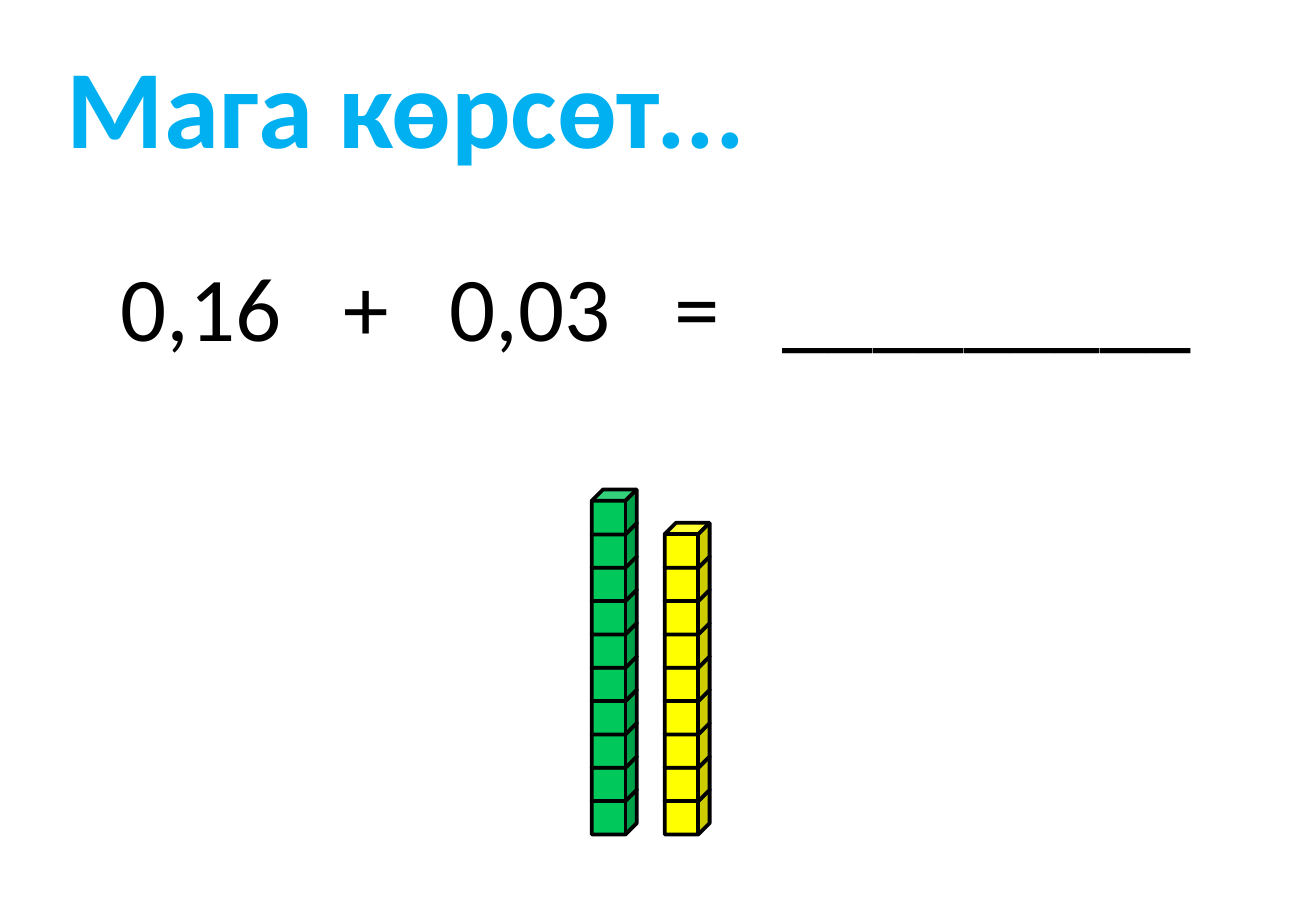
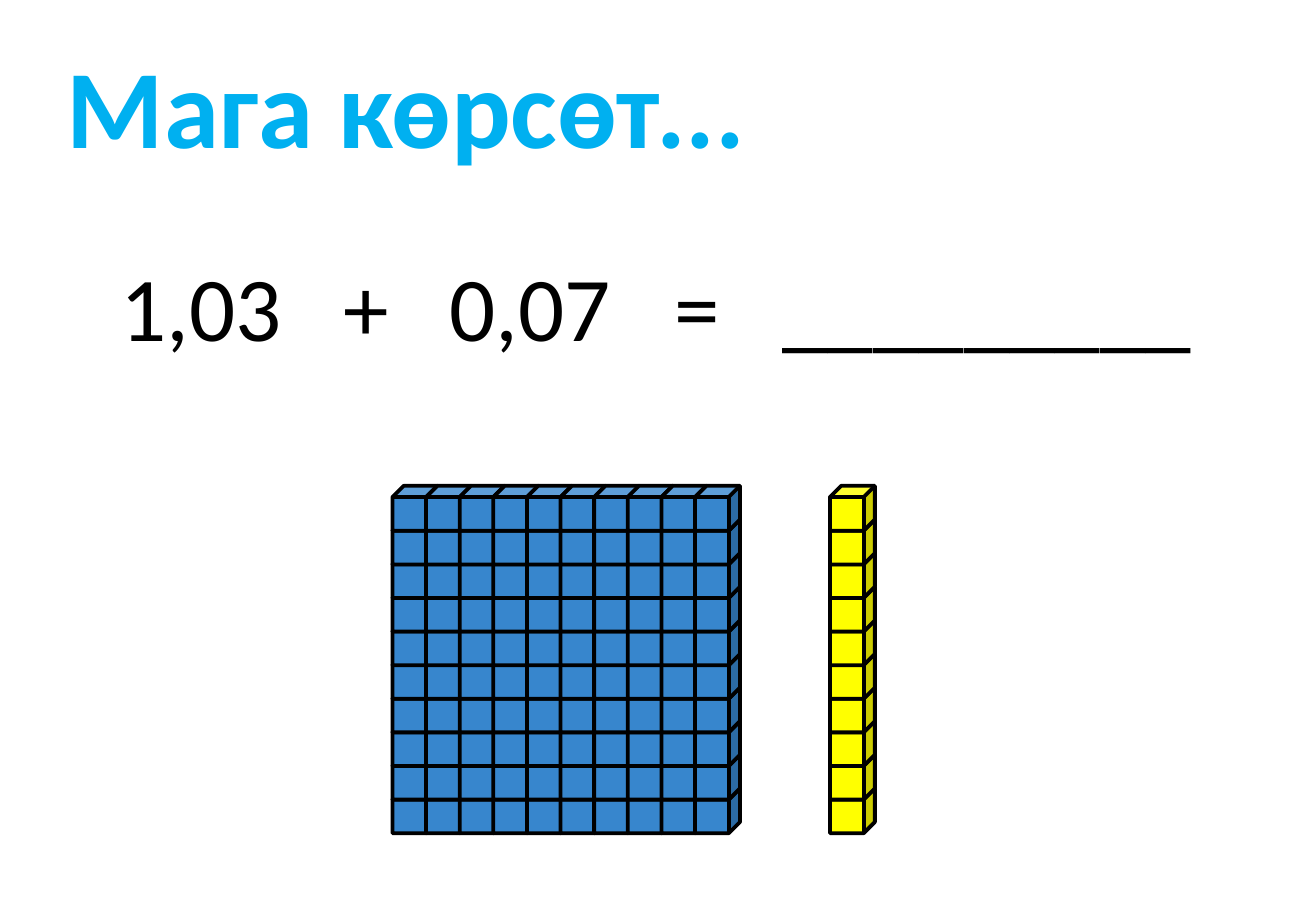
"""Build two slides that show decimal sums with stacked cubes."""
from lxml.etree import SubElement
from pptx import Presentation
from pptx.dml.color import RGBColor as RGB
from pptx.enum.shapes import MSO_SHAPE as Shape
from pptx.enum.text import MSO_ANCHOR as Anchor
from pptx.oxml.ns import qn
from pptx.util import Pt

PX = 9144
FONT = "Calibri"
SKY = RGB(0x00, 0xB0, 0xF0)
BLACK = RGB(0, 0, 0)
YELLOW = RGB(0xFF, 0xFF, 0x00)
GREEN = RGB(0x00, 0xC8, 0x5A)
BLUE = RGB(0x37, 0x86, 0xCD)

TITLE = "Мага көрсөт..."
BLANK = "_________"
TABS = (184, 271, 456, 545)
CUBE = 37
ROWS = 10

SLIDES = [
    {"sum": ("0,16", "+", "0,03", "=", BLANK), "base": 650, "span": 247,
     "blocks": [(547, 1, 9, YELLOW), (487, 1, ROWS, GREEN)]},
    {"sum": ("1,03", "+", "0,07", "=", BLANK), "base": 649, "span": 249,
     "blocks": [(683, 1, ROWS, YELLOW), (323, 10, ROWS, BLUE)]},
]


def px(*vals):
    """Turn px lengths into EMU."""
    return [round(val * PX) for val in vals]


def add_text(slide, box, inset, text, size, color, bold=False, tabs=()):
    """Add one line of text, with optional tab stops."""
    frame = slide.shapes.add_textbox(*px(*box)).text_frame
    frame.word_wrap = True
    frame.vertical_anchor = Anchor.TOP
    frame.margin_left = inset * PX
    para = frame.paragraphs[0]
    if tabs:
        stops = SubElement(para._p.get_or_add_pPr(), qn("a:tabLst"))
        for pos in px(*tabs):
            SubElement(stops, qn("a:tab"), pos=str(pos), algn="l")
    run = para.add_run()
    run.text = text
    font = run.font
    font.name, font.size, font.bold = FONT, Pt(size), bold
    font.color.rgb = color


def add_block(slide, left, cols, rows, color, base, step):
    """Stack cubes from the base up, column by column."""
    group = slide.shapes.add_group_shape()
    for col in range(cols):
        for row in range(rows):
            spot = px(left + col * step, base - row * step, CUBE, CUBE)
            cube = group.shapes.add_shape(Shape.CUBE, *spot)
            cube.shadow.inherit = False
            cube.fill.solid()
            cube.fill.fore_color.rgb = color
            cube.line.color.rgb = BLACK
            cube.line.width = Pt(2.25)


def main():
    """Build and save the deck."""
    deck = Presentation()
    deck.slide_width, deck.slide_height = px(1083, 750)
    for item in SLIDES:
        slide = deck.slides.add_slide(deck.slide_layouts[6])
        add_text(slide, (87, 201, 910, 101), 12, "\t".join(item["sum"]),
                 54, BLACK, tabs=TABS)
        step = item["span"] / (ROWS - 1)
        for block in item["blocks"]:
            add_block(slide, *block, item["base"], step)
        add_text(slide, (24, 26, 754, 121), 31, TITLE, 66, SKY, bold=True)
    deck.save("out.pptx")


if __name__ == "__main__":
    main()
